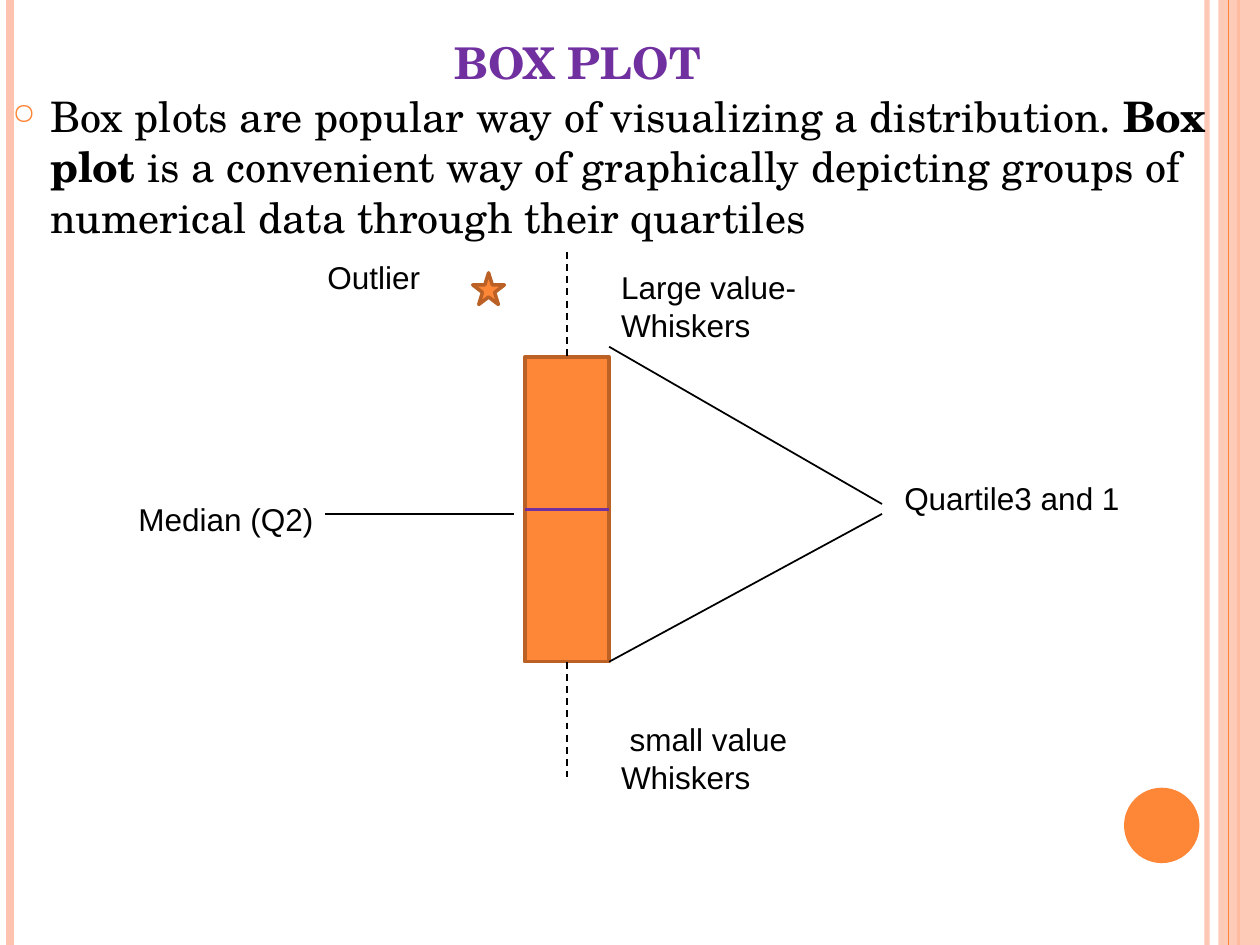
from pptx import Presentation
from pptx.dml.color import RGBColor
from pptx.enum.dml import MSO_LINE
from pptx.enum.shapes import MSO_CONNECTOR, MSO_SHAPE
from pptx.enum.text import MSO_ANCHOR, PP_ALIGN
from pptx.oxml.ns import qn
from pptx.util import Cm, Pt
from lxml.etree import SubElement

ORANGE = RGBColor(0xFE, 0x86, 0x37)
DARK_ORANGE = RGBColor(0xBB, 0x61, 0x26)
PEACH = RGBColor(0xFE, 0xC3, 0xAE)
PURPLE = RGBColor(0x70, 0x30, 0xA0)
BLACK = RGBColor(0, 0, 0)
SERIF = "TeX Gyre Schola"
SLIDE_WIDTH, SLIDE_HEIGHT = 25.4, 19.05


def set_font(paragraph, name, size, color):
    paragraph.font.name = name
    paragraph.font.size = Pt(size)
    paragraph.font.color.rgb = color


def set_alpha(fill_owner, percent):
    """Make the solid colour inside a shape's or line's XML partly transparent."""
    color = fill_owner.find(qn("a:solidFill")).find(qn("a:srgbClr"))
    SubElement(color, qn("a:alpha"), val=str(percent * 1000))


def add_line(slide, start, end, color=BLACK, width=1, dash=None, alpha=None):
    line = slide.shapes.add_connector(
        MSO_CONNECTOR.STRAIGHT, *(Cm(v) for v in start + end))
    line.line.color.rgb = color
    line.line.width = Pt(width)
    if dash:
        line.line.dash_style = dash
    properties = line._element.spPr
    if alpha:
        set_alpha(properties.find(qn("a:ln")), alpha)
    SubElement(properties, qn("a:effectLst"))
    return line


def add_filled(slide, preset, left, top, width, height, fill, outline=None):
    shape = slide.shapes.add_shape(
        preset, Cm(left), Cm(top), Cm(width), Cm(height))
    shape.shadow.inherit = False
    shape.fill.solid()
    shape.fill.fore_color.rgb = fill
    if outline is None:
        shape.line.fill.background()
    else:
        shape.line.color.rgb = outline
        shape.line.width = Pt(2)
    return shape


def add_text_frame(slide, left, top, width, height):
    box = slide.shapes.add_textbox(Cm(left), Cm(top), Cm(width), Cm(height))
    box.text_frame.word_wrap = True
    return box.text_frame


def add_label(slide, text, left, top, width, height=1.02):
    paragraph = add_text_frame(slide, left, top, width, height).paragraphs[0]
    paragraph.text = text
    set_font(paragraph, "Arial", 18, BLACK)


def add_decoration(slide):
    for x, color, width, alpha in ((24.33, PEACH, 3, 93), (0.21, PEACH, 4.5, None),
                                   (24.97, ORANGE, 1.5, None)):
        add_line(slide, (x, 0), (x, SLIDE_HEIGHT), color, width, alpha=alpha)
    band = add_filled(slide, MSO_SHAPE.RECTANGLE, 24.56, 0, 0.84, SLIDE_HEIGHT, PEACH)
    set_alpha(band._element.spPr, 87)
    add_line(slide, (24.77, 0), (24.77, SLIDE_HEIGHT), ORANGE, 0.75)
    add_filled(slide, MSO_SHAPE.OVAL, 22.66, 15.88, 1.52, 1.52, ORANGE)


def format_title(slide):
    title = slide.shapes.title
    title.left, title.top, title.width, title.height = (
        Cm(1.27), Cm(0.76), Cm(20.75), Cm(1.14))
    title.text_frame.text = "BOX PLOT"
    title.text_frame.vertical_anchor = MSO_ANCHOR.BOTTOM
    heading = title.text_frame.paragraphs[0]
    heading.alignment = PP_ALIGN.CENTER
    set_font(heading, SERIF, 25, PURPLE)
    heading.font.bold = True


def add_definition(slide):
    paragraph = add_text_frame(slide, 0, 1.7, SLIDE_WIDTH, 16.08).paragraphs[0]
    properties = paragraph._p.get_or_add_pPr()
    properties.set("marL", str(Cm(0.76)))
    properties.set("indent", str(Cm(-0.76)))
    bullet_color = SubElement(properties, qn("a:buClr"))
    SubElement(bullet_color, qn("a:srgbClr"), val=str(ORANGE))
    SubElement(properties, qn("a:buSzPct"), val="70000")
    SubElement(properties, qn("a:buChar"), char="○")
    set_font(paragraph, SERIF, 24, BLACK)
    for text, bold in (
            ("Box plots are popular way of visualizing a distribution.", False),
            (" Box plot", True),
            (" is a convenient way of graphically depicting groups of "
             "numerical data through their quartiles", False)):
        run = paragraph.add_run()
        run.text = text
        run.font.bold = bold


def add_box_plot(slide):
    left, top, width, height = 10.58, 7.2, 1.7, 6.14
    center, middle = left + width / 2, top + height / 2
    right, bottom = left + width, top + height
    box = add_filled(slide, MSO_SHAPE.RECTANGLE, left, top, width, height,
                     ORANGE, DARK_ORANGE)
    upper_whisker = add_line(slide, (center, 5.08), (center, top), dash=MSO_LINE.DASH)
    upper_whisker.end_connect(box, 0)
    lower_whisker = add_line(slide, (center, bottom), (center, 15.67), dash=MSO_LINE.DASH)
    lower_whisker.begin_connect(box, 2)
    median = add_line(slide, (left, middle), (right, middle), PURPLE, 1.5)
    median.begin_connect(box, 1)
    median.end_connect(box, 3)

    add_line(slide, (right, 6.99), (17.78, 10.16))
    add_line(slide, (right, bottom), (17.78, 10.36))
    add_line(slide, (10.36, 10.36), (6.55, 10.36))
    add_filled(slide, MSO_SHAPE.STAR_5_POINT, 9.53, 5.5, 0.64, 0.64,
               ORANGE, DARK_ORANGE)

    add_label(slide, "Quartile3 and 1", 17.98, 9.53, 5.92)
    add_label(slide, "Median (Q2)", 2.54, 9.96, 4.24)
    add_label(slide, "Large value-Whiskers", 12.27, 5.28, 4.24, 1.78)
    add_label(slide, " small value Whiskers", 12.27, 14.4, 4.88, 1.78)
    add_label(slide, "Outlier", 6.35, 5.08, 2.62)


def main():
    presentation = Presentation()
    presentation.slide_width = Cm(SLIDE_WIDTH)
    presentation.slide_height = Cm(SLIDE_HEIGHT)
    slide = presentation.slides.add_slide(presentation.slide_layouts[5])
    add_decoration(slide)
    format_title(slide)
    add_definition(slide)
    add_box_plot(slide)
    presentation.save("out.pptx")


if __name__ == "__main__":
    main()
